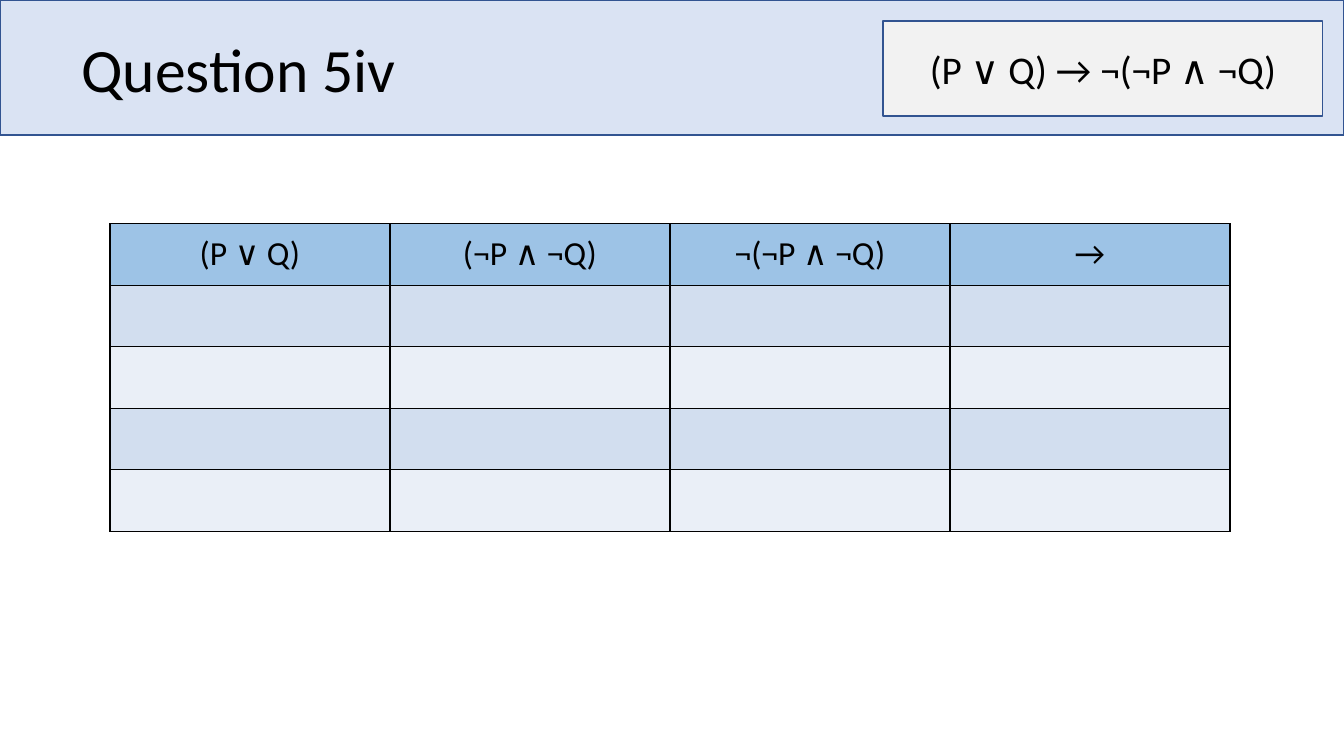
from lxml import etree
from pptx import Presentation
from pptx import util as u
from pptx.dml.color import RGBColor
from pptx.enum import shapes, text
from pptx.oxml.ns import qn

HEADINGS = ["(P ∨ Q)", "(¬P ∧ ¬Q)", "¬(¬P ∧ ¬Q)", "→"]
HEADING_FILL = "9DC3E6"
BAND_FILLS = ["D2DEEF", "EAEFF7"]
VALUE_ROWS = 4


def colour(hex_string):
    return RGBColor.from_string(hex_string)


def inches(box):
    return [u.Inches(length) for length in box]


def write(frame, words, size, align):
    frame.word_wrap = True
    frame.vertical_anchor = text.MSO_ANCHOR.MIDDLE
    paragraph = frame.paragraphs[0]
    paragraph.alignment = align
    run = paragraph.add_run()
    run.text = words
    for name, value in {"name": "Calibri", "size": u.Pt(size)}.items():
        setattr(run.font, name, value)
    run.font.color.rgb = colour("000000")
    return paragraph


def add_panel(slide, box, fill):
    panel = slide.shapes.add_shape(shapes.MSO_SHAPE.RECTANGLE, *inches(box))
    panel.shadow.inherit = False
    panel.fill.solid()
    panel.fill.fore_color.rgb = colour(fill)
    panel.line.color.rgb = colour("325491")
    panel.line.width = u.Pt(1)
    return panel


def add_header(slide, box, title, formula):
    """Banner with the title on the left and the formula panel on the right."""
    left, top, width, height = box
    add_panel(slide, box, "DAE3F3")
    heading = slide.shapes.add_textbox(
        *inches((left + 0.71, top - 0.01, 7.9, height + 0.11)))
    line = write(heading.text_frame, title, 44, text.PP_ALIGN.LEFT)
    line.line_spacing = 0.9
    formula_box = (left + width - 4.57, top + 0.21, 4.36, 0.94)
    panel = add_panel(slide, formula_box, "F2F2F2")
    write(panel.text_frame, formula, 28, text.PP_ALIGN.CENTER)


def format_cell(cell, fill):
    """Set black borders on all four sides, then the fill."""
    properties = cell._tc.get_or_add_tcPr()
    for side in ("lnL", "lnR", "lnT", "lnB"):
        border = etree.SubElement(properties, qn(f"a:{side}"), w=str(u.Pt(1)))
        solid = etree.SubElement(border, qn("a:solidFill"))
        etree.SubElement(solid, qn("a:srgbClr"), val="000000")
    cell.fill.solid()
    cell.fill.fore_color.rgb = colour(fill)


def add_truth_table(slide, box):
    row_fills = [HEADING_FILL] + [
        BAND_FILLS[row % len(BAND_FILLS)] for row in range(VALUE_ROWS)]
    table = slide.shapes.add_table(
        len(row_fills), len(HEADINGS), *inches(box)).table
    for row, fill in enumerate(row_fills):
        for column in range(len(HEADINGS)):
            format_cell(table.cell(row, column), fill)
    for column, heading in enumerate(HEADINGS):
        cell = table.cell(0, column)
        cell.vertical_anchor = text.MSO_ANCHOR.MIDDLE
        line = write(cell.text_frame, heading, 24, text.PP_ALIGN.CENTER)
        line.runs[0].font.bold = False


def main():
    deck = Presentation()
    deck.slide_width, deck.slide_height = inches((13.33, 7.5))
    slide = deck.slides.add_slide(deck.slide_layouts[6])
    add_header(slide, (0, 0, 13.33, 1.34), "Question 5iv",
               "(P ∨ Q) → ¬(¬P ∧ ¬Q)")
    add_truth_table(slide, (1.09, 2.22, 11.11, 3.05))
    deck.save("out.pptx")


if __name__ == "__main__":
    main()
